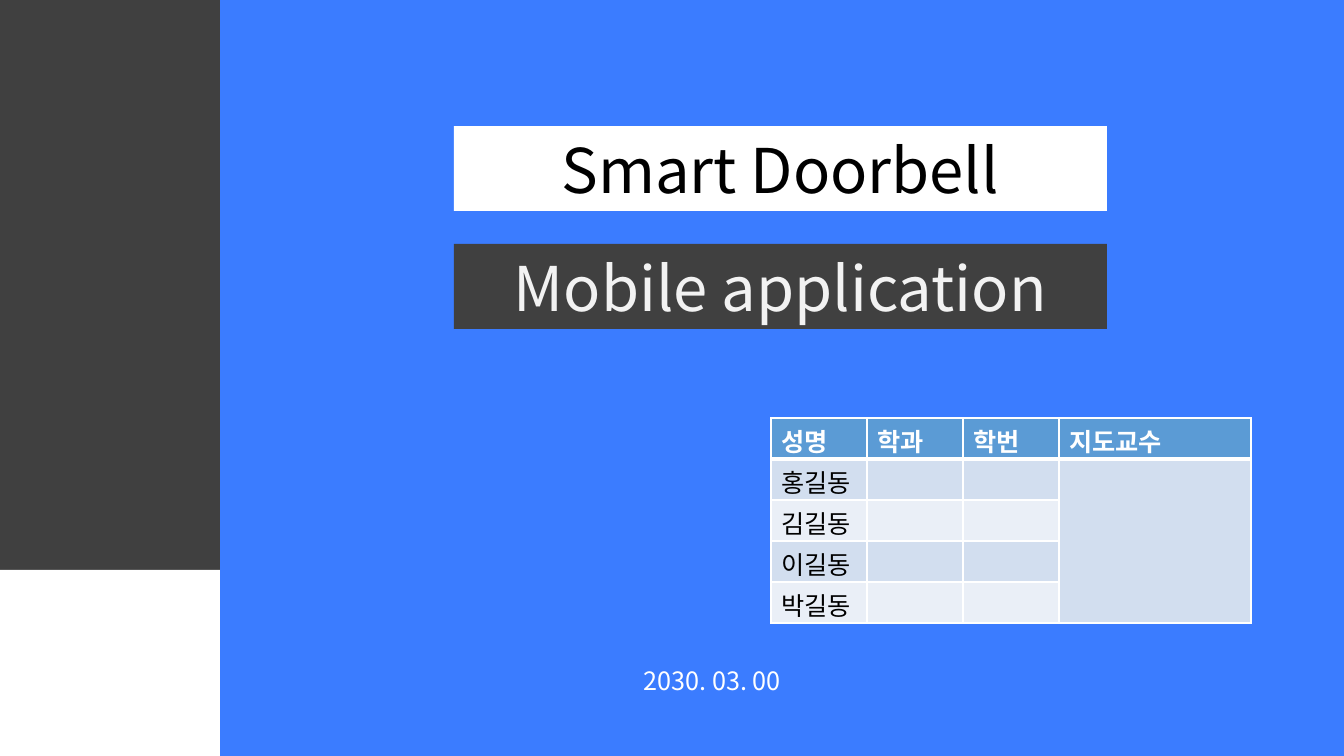
from lxml.etree import SubElement
from pptx import Presentation
from pptx.dml.color import RGBColor
from pptx.enum.shapes import MSO_SHAPE
from pptx.enum.text import MSO_ANCHOR, MSO_AUTO_SIZE, PP_ALIGN
from pptx.oxml.ns import qn
from pptx.util import Pt

PIXEL = 914400 / 100.8
FONT = "Noto Sans CJK KR"
COLORS = {
    "background": "3B7CFF",
    "dark": "404040",
    "white": "FFFFFF",
    "pale": "F2F2F2",
    "black": "000000",
    "header": "5B9BD5",
    "odd_row": "D2DEEF",
    "even_row": "EAEFF7",
}


def pixels(*lengths):
    return [round(length * PIXEL) for length in lengths]


def write_text(text_frame, text, size=18, color="white", bold=False, align=PP_ALIGN.LEFT):
    paragraph = text_frame.paragraphs[0]
    paragraph.alignment = align
    paragraph.line_spacing = 1.0
    paragraph.space_before = Pt(0)
    run = paragraph.add_run()
    run.text = text
    run.font.size = Pt(size)
    run.font.bold = bold
    run.font.name = FONT
    run.font.color.rgb = RGBColor.from_string(COLORS[color])
    SubElement(run.font._element, qn("a:ea"), typeface=FONT)


presentation = Presentation()
presentation.slide_width, presentation.slide_height = pixels(1344, 756)
slide = presentation.slides.add_slide(presentation.slide_layouts[0])
slide.background.fill.solid()
slide.background.fill.fore_color.rgb = RGBColor.from_string(COLORS["background"])

for top, height, color in [(0, 570, "dark"), (570, 186, "white")]:
    panel = slide.shapes.add_shape(MSO_SHAPE.RECTANGLE, *pixels(0, top, 220, height))
    panel.shadow.inherit = False
    panel.fill.solid()
    panel.fill.fore_color.rgb = RGBColor.from_string(COLORS[color])
    panel.line.fill.background()

banners = [
    (slide.shapes.title, "Smart Doorbell", 126, "white", "black"),
    (slide.placeholders[1], "Mobile application", 244, "dark", "pale"),
]
for banner, text, top, fill_color, text_color in banners:
    banner.left, banner.top, banner.width, banner.height = pixels(454, top, 653, 85)
    banner.fill.solid()
    banner.fill.fore_color.rgb = RGBColor.from_string(COLORS[fill_color])
    banner.text_frame.auto_size = MSO_AUTO_SIZE.NONE
    banner.text_frame.vertical_anchor = MSO_ANCHOR.MIDDLE
    write_text(banner.text_frame, text, size=44, color=text_color, align=PP_ALIGN.CENTER)

date_box = slide.shapes.add_textbox(*pixels(634, 660, 207, 40))
date_box.text_frame.word_wrap = True
write_text(date_box.text_frame, "2030. 03. 00")

headings = ["성명", "학과", "학번", "지도교수"]
members = ["홍길동", "김길동", "이길동", "박길동"]
rows = [headings] + [[member, "", "", ""] for member in members]
table = slide.shapes.add_table(5, 4, *pixels(771, 418, 480, 205)).table
for column, width in zip(table.columns, pixels(96, 96, 96, 192)):
    column.width = width
for row in table.rows:
    row.height = pixels(41)[0]

for row_index, texts in enumerate(rows):
    is_header = row_index == 0
    fill_color = "header" if is_header else "odd_row" if row_index % 2 else "even_row"
    for column_index, text in enumerate(texts):
        cell = table.cell(row_index, column_index)
        cell.margin_top, cell.margin_bottom = pixels(4, 0)
        properties = cell._tc.get_or_add_tcPr()
        for side in "LRTB":
            thick = (is_header and side == "B") or (row_index == 1 and side == "T")
            border = SubElement(properties, qn(f"a:ln{side}"), w=str(Pt(3 if thick else 1)))
            border_fill = SubElement(border, qn("a:solidFill"))
            SubElement(border_fill, qn("a:srgbClr"), val=COLORS["white"])
        cell.fill.solid()
        cell.fill.fore_color.rgb = RGBColor.from_string(COLORS[fill_color])
        if text:
            write_text(cell.text_frame, text, color="white" if is_header else "black", bold=is_header)
table.cell(1, 3).merge(table.cell(4, 3))

presentation.save("out.pptx")
